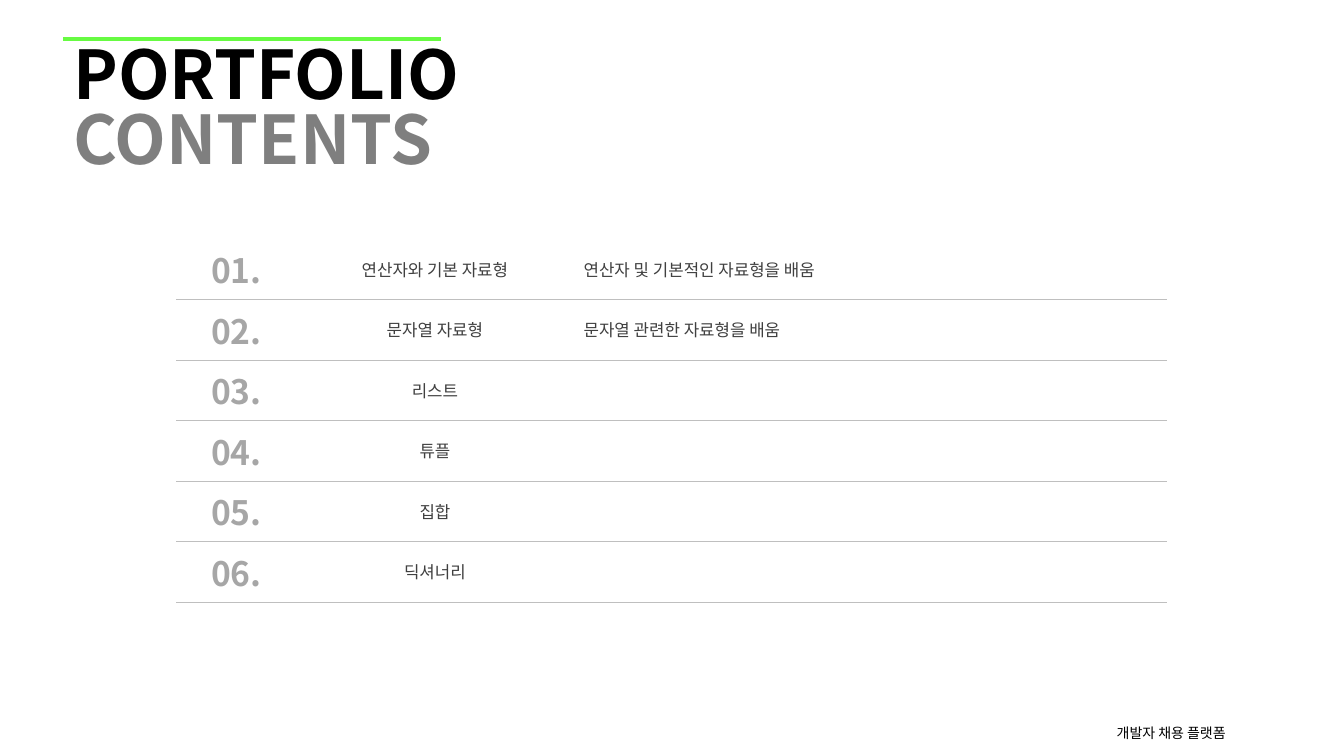
from lxml import etree
from pptx import Presentation
from pptx.dml.color import RGBColor
from pptx.enum.shapes import MSO_CONNECTOR
from pptx.enum.text import MSO_ANCHOR, PP_ALIGN
from pptx.oxml.ns import qn
from pptx.util import Pt

STRAIGHT = MSO_CONNECTOR.STRAIGHT
MIDDLE = MSO_ANCHOR.MIDDLE
LEFT, CENTER = PP_ALIGN.LEFT, PP_ALIGN.CENTER

FONT = "Noto Sans CJK KR"
BLACK = RGBColor(0x00, 0x00, 0x00)
GRAY = RGBColor(0x7F, 0x7F, 0x7F)
NUMBER_GRAY = RGBColor(0xA6, 0xA6, 0xA6)
TOPIC_GRAY = RGBColor(0x40, 0x40, 0x40)
RULE_GRAY = RGBColor(0xBF, 0xBF, 0xBF)
GREEN = RGBColor(0x67, 0xFB, 0x42)

TITLE = [("PORTFOLIO", BLACK), (" CONTENTS", GRAY)]
FOOTER = "개발자 채용 플랫폼"
CHAPTERS = [
    ("연산자와 기본 자료형", "연산자 및 기본적인 자료형을 배움"),
    ("문자열 자료형", "문자열 관련한 자료형을 배움"),
    ("리스트", ""),
    ("튜플", ""),
    ("집합", ""),
    ("딕셔너리", ""),
]
# width, alignment, text size, colour, bold
COLUMNS = [
    (85.7, CENTER, 24, NUMBER_GRAY, True),
    (198, CENTER, 12, TOPIC_GRAY, False),
    (424.1, LEFT, 12, TOPIC_GRAY, False),
]
TABLE_LEFT, TABLE_TOP, ROW_HEIGHT = 126, 170.64, 43.2
RULE_WIDTH = 0.25


def add_run(paragraph, text, size, color, bold=False):
    run = paragraph.add_run()
    run.text = text
    run.font.name = FONT
    run.font.size = Pt(size)
    run.font.bold = bold
    run.font.color.rgb = color
    east_asian = etree.SubElement(run._r.get_or_add_rPr(), qn("a:ea"))
    east_asian.set("typeface", FONT)


def add_text_box(slide, left, top, width, height):
    """Add a wrapping text box and return its first paragraph."""
    frame = slide.shapes.add_textbox(Pt(left), Pt(top), Pt(width), Pt(height)).text_frame
    frame.word_wrap = True
    return frame.paragraphs[0]


def set_borders(cell, ruled_sides):
    """Draw a thin rule on the given sides and clear the others."""
    properties = cell._tc.get_or_add_tcPr()
    for index, side in enumerate("LRTB"):
        border = etree.Element(qn(f"a:ln{side}"), w=str(int(Pt(RULE_WIDTH))))
        if side in ruled_sides:
            fill = etree.SubElement(border, qn("a:solidFill"))
            etree.SubElement(fill, qn("a:srgbClr"), val=str(RULE_GRAY))
        else:
            etree.SubElement(border, qn("a:noFill"))
        properties.insert(index, border)


def add_heading(slide):
    title = add_text_box(slide, 45.36, 30.24, 369.36, 123.84)
    title.line_spacing = 0.81
    for word, color in TITLE:
        add_run(title, word, 48, color, bold=True)

    accent = slide.shapes.add_connector(STRAIGHT, Pt(45.36), Pt(27.7), Pt(315.36), Pt(27.7))
    accent.line.color.rgb = GREEN
    accent.line.width = Pt(3)
    etree.SubElement(accent._element.spPr, qn("a:effectLst"))


def add_chapter_table(slide):
    width = sum(column[0] for column in COLUMNS)
    table = slide.shapes.add_table(
        len(CHAPTERS), len(COLUMNS), Pt(TABLE_LEFT), Pt(TABLE_TOP),
        Pt(width), Pt(ROW_HEIGHT * len(CHAPTERS))).table
    table.first_row = False
    table.horz_banding = False
    for index, column in enumerate(COLUMNS):
        table.columns[index].width = Pt(column[0])

    for row, (topic, summary) in enumerate(CHAPTERS):
        table.rows[row].height = Pt(ROW_HEIGHT)
        texts = (f"{row + 1:02}.", topic, summary)
        for index, (text, column) in enumerate(zip(texts, COLUMNS)):
            _, alignment, size, color, bold = column
            cell = table.cell(row, index)
            cell.fill.background()
            cell.vertical_anchor = MIDDLE
            set_borders(cell, "TB" if row else "B")
            paragraph = cell.text_frame.paragraphs[0]
            paragraph.alignment = alignment
            if text:
                add_run(paragraph, text, size, color, bold)


def main():
    deck = Presentation()
    deck.slide_width, deck.slide_height = Pt(960), Pt(540)
    slide = deck.slides.add_slide(deck.slide_layouts[6])
    add_run(add_text_box(slide, 790.56, 514.08, 116.64, 20.16), FOOTER, 10, BLACK)
    add_heading(slide)
    add_chapter_table(slide)
    deck.save("out.pptx")


if __name__ == "__main__":
    main()
